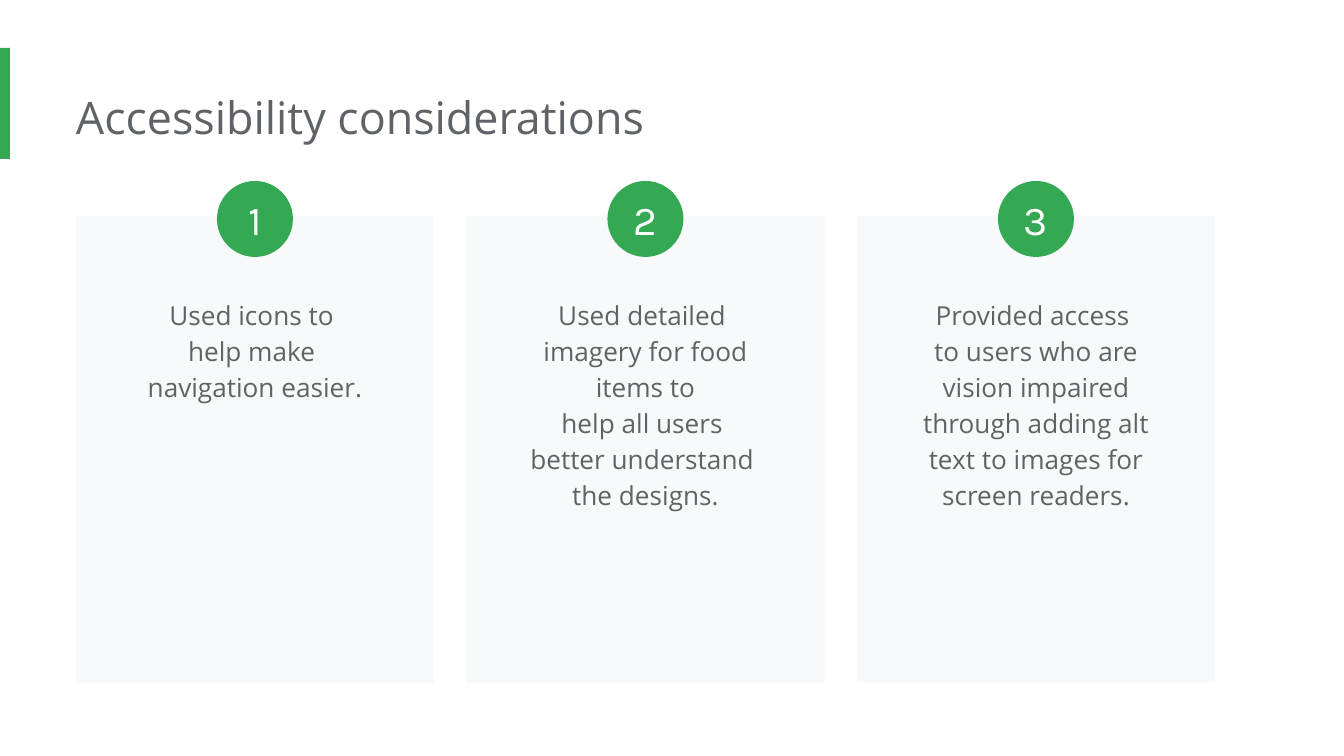
from pptx import Presentation
from pptx.dml.color import RGBColor
from pptx.enum.shapes import MSO_SHAPE
from pptx.enum.text import MSO_ANCHOR, PP_ALIGN
from pptx.util import Emu, Pt

TITLE = "Accessibility considerations"
CARDS = [
    "Used icons to \nhelp make \nnavigation easier.",
    "Used detailed \nimagery for food items to\nhelp all users \nbetter understand \nthe designs.",
    "Provided access \nto users who are vision impaired through adding alt "
    "text to images for screen readers.",
]
COLORS = {"green": "34A853", "card": "F8F9FA", "text": "5F6368", "white": "FFFFFF"}

PX = 914400 / 134.4
LEFT, RIGHT = 76, 1215
CARD_TOP, CARD_W, CARD_H = 216, 358, 467
BADGE_TOP, BADGE = 181, 76
BODY_TOP, BODY_W, BODY_H = 282, 301, 241
INSET = 13


def px(*values):
    return [Emu(round(v * PX)) for v in values]


def color(name):
    return RGBColor.from_string(COLORS[name])


def add_block(s, kind, box, fill):
    sp = s.shapes.add_shape(kind, *px(*box))
    sp.shadow.inherit = False
    sp.fill.solid()
    sp.fill.fore_color.rgb = color(fill)
    sp.line.fill.background()
    return sp


def write(sp, text, size, font, fill, insets, align=PP_ALIGN.LEFT,
          anchor=MSO_ANCHOR.TOP, spacing=1.0):
    tf = sp.text_frame
    tf.word_wrap = True
    tf.vertical_anchor = anchor
    tf.margin_left, tf.margin_top, tf.margin_right, tf.margin_bottom = px(*insets)
    p = tf.paragraphs[0]
    p.text = text
    p.alignment = align
    p.line_spacing = spacing
    p.font.size = Pt(size)
    p.font.name = font
    p.font.color.rgb = color(fill)


def main():
    prs = Presentation()
    prs.slide_width, prs.slide_height = px(1344, 756)
    s = prs.slides.add_slide(prs.slide_layouts[6])

    add_block(s, MSO_SHAPE.RECTANGLE, (0, 48, 10, 111), "green")
    title = s.shapes.add_textbox(*px(LEFT, 77, 1030, 82))
    write(title, TITLE, 24, "Open Sans", "text", (0, INSET, INSET, INSET))

    pitch = (RIGHT - LEFT - CARD_W) / (len(CARDS) - 1)
    for i, text in enumerate(CARDS):
        x = LEFT + i * pitch
        center = x + CARD_W / 2
        add_block(s, MSO_SHAPE.RECTANGLE, (x, CARD_TOP, CARD_W, CARD_H), "card")
        body = s.shapes.add_textbox(*px(center - BODY_W / 2, BODY_TOP, BODY_W, BODY_H))
        write(body, text, 14, "Open Sans", "text", [INSET] * 4,
              PP_ALIGN.CENTER, spacing=1.15)
        badge = add_block(s, MSO_SHAPE.OVAL,
                          (center - BADGE / 2, BADGE_TOP, BADGE, BADGE), "green")
        write(badge, str(i + 1), 22, "Karla", "white", [0] * 4,
              PP_ALIGN.CENTER, MSO_ANCHOR.MIDDLE)

    prs.save("out.pptx")


if __name__ == "__main__":
    main()
